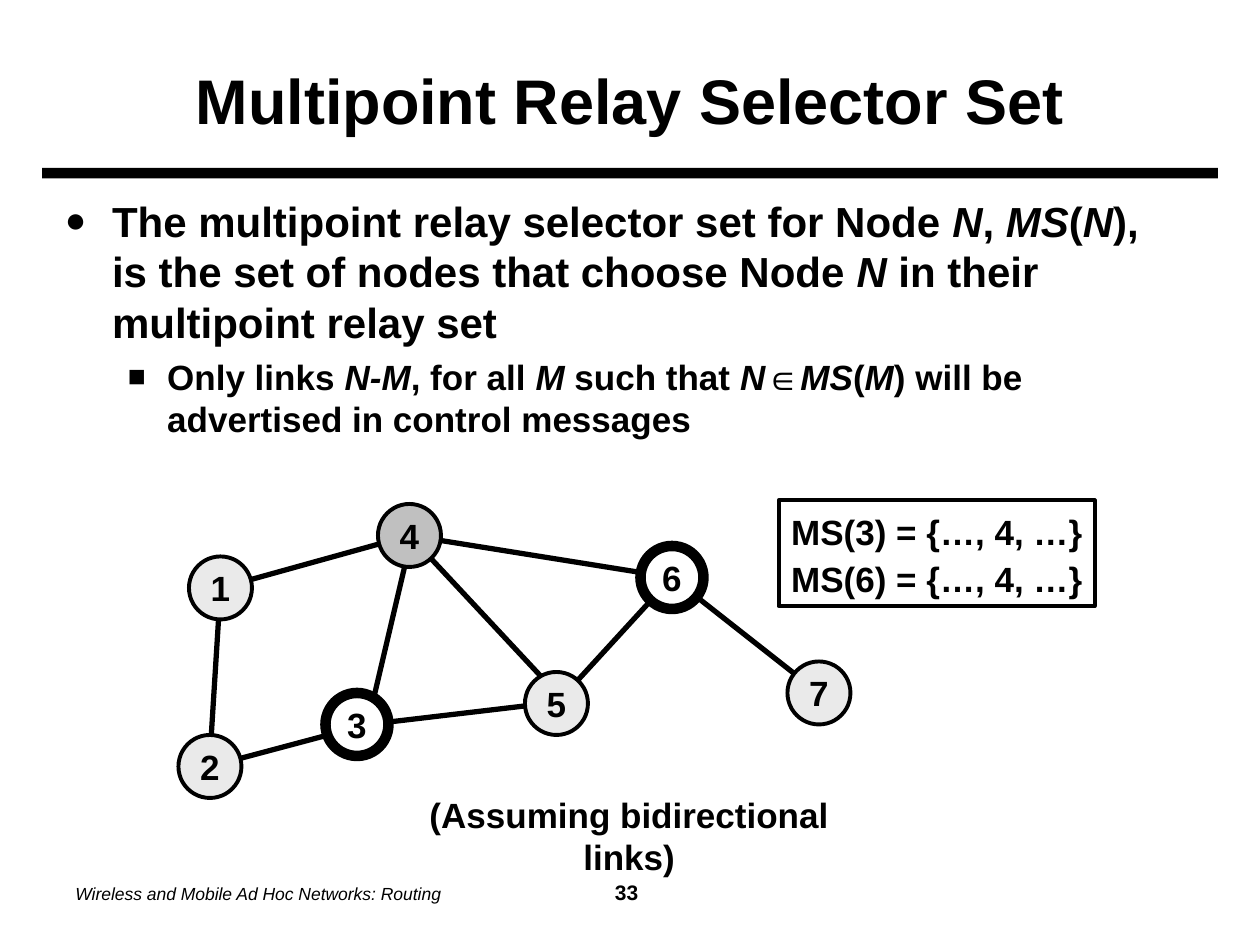
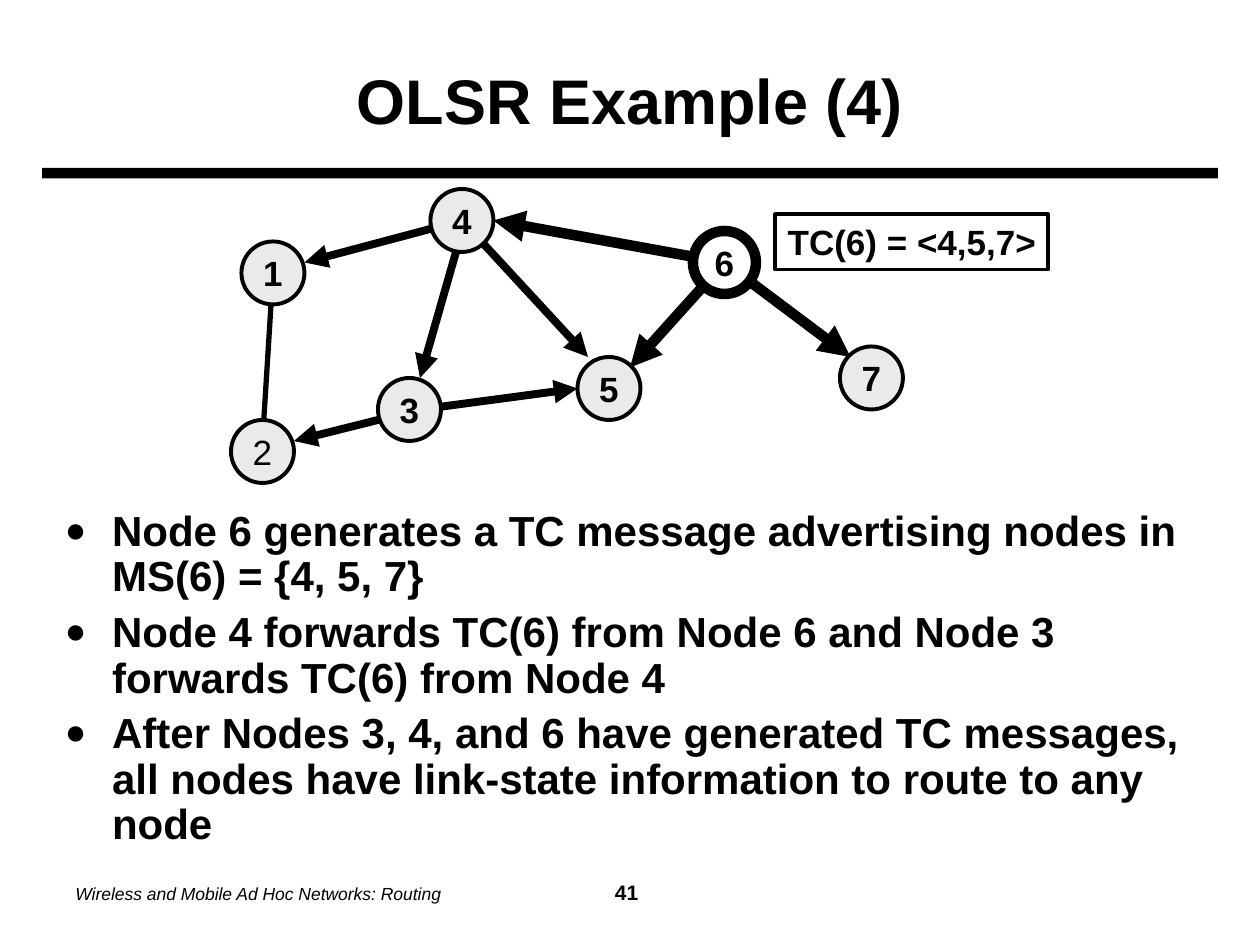
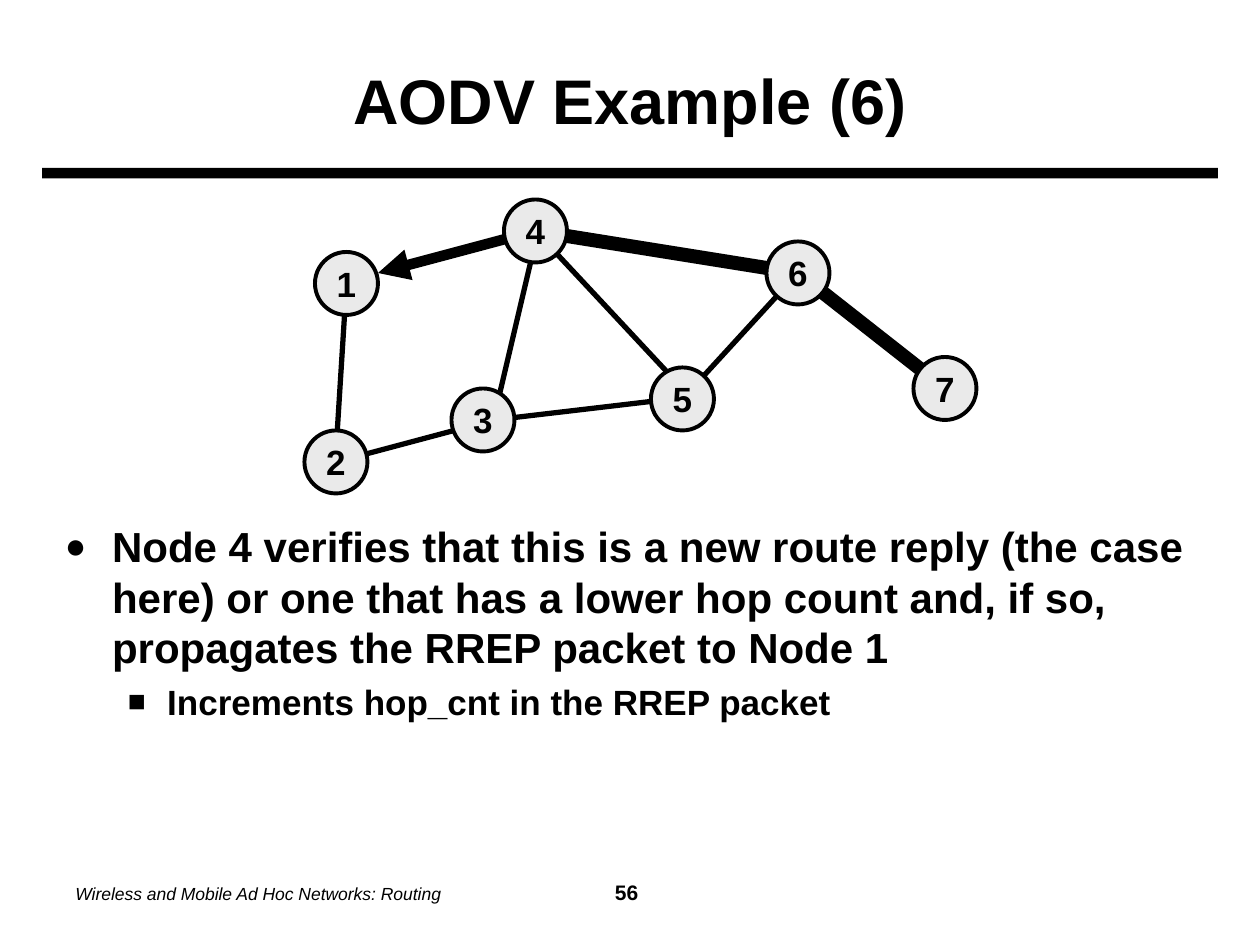
from lxml.etree import SubElement
from pptx import Presentation
from pptx.dml.color import RGBColor
from pptx.enum.shapes import MSO_CONNECTOR, MSO_SHAPE
from pptx.enum.text import MSO_ANCHOR, PP_ALIGN
from pptx.oxml.ns import qn
from pptx.util import Pt

BLACK, WHITE, LIGHT_GRAY, GRAY = "000000", "FFFFFF", "EAEAEA", "C0C0C0"
FONT = "Arial"
FOOTER = "Wireless and Mobile Ad Hoc Networks: Routing"
NODE_SIZE = 36

# Font size, space before, left margin, hanging indent and bullet of each level
BULLET_LEVELS = [(24, 6, 27, 27, "●"), (20, 5, 58.5, 22.5, "■")]

node_offsets = {1: (0, 0), 4: (108, -30), 3: (78, 78), 5: (192, 66),
                2: (-6, 102), 6: (258, -6), 7: (342, 60)}
link_ends = {
    "6-7": ((276, 12), (360, 78)),
    "1-2": ((18, 18), (12, 114)),
    "4-5": ((126, -12), (210, 78)),
    "3-2": ((102, 96), (12, 120)),
    "4-1": ((126, -12), (18, 18)),
    "4-3": ((126, -6), (102, 96)),
    "3-5": ((102, 96), (204, 84)),
    "6-4": ((276, 12), (126, -12)),
    "6-5": ((276, 12), (210, 84)),
}
arrow_tips = {"4-5": (198, 66), "3-2": (30, 114), "4-1": (36, 12),
              "4-3": (102, 78), "3-5": (192, 84), "6-4": (144, -12),
              "6-7": (348, 66), "6-5": (222, 72)}

slides = [
    {
        "title": "Multipoint Relay Selector Set",
        "number": "33",
        "body_area": (108, 378),
        "line_spacing": 1.0,
        "bullets": [
            (0, "The multipoint relay selector set for Node *N*, *MS*(*N*), "
                "is the set of nodes that choose Node *N* in their multipoint relay set"),
            (1, "Only links *N-M*, for all *M* such that *N*∈*MS*(*M*) "
                "will be advertised in control messages"),
        ],
        "network_origin": (108, 318),
        "node_fills": {3: WHITE, 4: GRAY, 6: WHITE},
        "thick_nodes": {3, 6},
        "plain_text_nodes": set(),
        "link_weights": {},
        "arrows": set(),
        "set_box": ((445, 286, 180.5, 60.5), ["MS(3) = {…, 4, …}", "MS(6) = {…, 4, …}"], 1.1),
        "caption": "(Assuming bidirectional links)",
    },
    {
        "title": "OLSR Example (4)",
        "number": "41",
        "body_area": (288, 210),
        "line_spacing": 0.9,
        "bullets": [
            (0, "Node 6 generates a TC message advertising nodes in MS(6) = {4, 5, 7}"),
            (0, "Node 4 forwards TC(6) from Node 6 and Node 3 forwards TC(6) from Node 4"),
            (0, "After Nodes 3, 4, and 6 have generated TC messages, all nodes have "
                "link-state information to route to any node"),
        ],
        "network_origin": (138, 138),
        "node_fills": {6: WHITE},
        "thick_nodes": {6},
        "plain_text_nodes": {2},
        "link_weights": {"4-5": 4.5, "3-2": 4.5, "4-1": 4.5, "4-3": 4.5, "3-5": 4.5,
                         "6-4": 6, "6-7": 6, "6-5": 6},
        "arrows": set(arrow_tips),
        "set_box": ((443, 122.5, 156, 31.5), ["TC(6) = <4,5,7>"], 1.0),
        "caption": None,
    },
    {
        "title": "AODV Example (6)",
        "number": "56",
        "body_area": (294, 192),
        "line_spacing": 1.0,
        "bullets": [
            (0, "Node 4 verifies that this is a new route reply (the case here) or one that "
                "has a lower hop count and, if so, propagates the RREP packet to Node 1"),
            (1, "Increments hop_cnt in the RREP packet"),
        ],
        "network_origin": (180, 144),
        "node_fills": {},
        "thick_nodes": set(),
        "plain_text_nodes": set(),
        "link_weights": {"4-1": 6, "6-4": 8, "6-7": 8},
        "arrows": {"4-1"},
        "set_box": None,
        "caption": None,
    },
]


def color(hex_value):
    return RGBColor.from_string(hex_value)


def write(shape, lines, size, alignment=PP_ALIGN.LEFT, bold=True, wrap=False,
          anchor=MSO_ANCHOR.MIDDLE, line_spacing=1.0):
    text_frame = shape.text_frame
    text_frame.text = "\n".join(lines)
    text_frame.word_wrap = wrap
    text_frame.vertical_anchor = anchor
    for paragraph in text_frame.paragraphs:
        paragraph.alignment = alignment
        paragraph.line_spacing = line_spacing
        for run in paragraph.runs:
            run.font.name = FONT
            run.font.size = Pt(size)
            run.font.bold = bold
            run.font.color.rgb = color(BLACK)


presentation = Presentation()
presentation.slide_width = Pt(720)
presentation.slide_height = Pt(540)

for content in slides:
    slide = presentation.slides.add_slide(presentation.slide_layouts[6])
    shapes = slide.shapes

    rule = shapes.add_shape(MSO_SHAPE.RECTANGLE, Pt(24), Pt(96), Pt(672), Pt(6))
    rule.shadow.inherit = False
    rule.fill.solid()
    rule.fill.fore_color.rgb = color(BLACK)
    rule.line.fill.background()

    title = shapes.add_textbox(Pt(36), Pt(18), Pt(648), Pt(78))
    write(title, [content["title"]], 36, PP_ALIGN.CENTER, wrap=True)

    footer = shapes.add_textbox(Pt(36), Pt(492), Pt(648), Pt(36))
    footer.text_frame.word_wrap = True
    footer.text_frame.vertical_anchor = MSO_ANCHOR.MIDDLE
    paragraph = footer.text_frame.paragraphs[0]
    tabs = SubElement(paragraph._p.get_or_add_pPr(), qn("a:tabLst"))
    SubElement(tabs, qn("a:tab"), pos=str(Pt(315)), algn="ctr")
    for text, size, is_number in [(FOOTER, 10, False), ("\t" + content["number"], 12, True)]:
        run = paragraph.add_run()
        run.text = text
        run.font.name = FONT
        run.font.size = Pt(size)
        run.font.bold = is_number
        run.font.italic = not is_number
        run.font.color.rgb = color(BLACK)

    top, height = content["body_area"]
    body = shapes.add_textbox(Pt(30), Pt(top), Pt(654), Pt(height))
    body.text_frame.word_wrap = True
    for index, (level, text) in enumerate(content["bullets"]):
        size, space_before, margin, hanging, bullet = BULLET_LEVELS[level]
        paragraph = body.text_frame.paragraphs[0] if index == 0 else body.text_frame.add_paragraph()
        paragraph.level = level
        paragraph.line_spacing = content["line_spacing"]
        paragraph.space_before = Pt(space_before if index else 0)
        properties = paragraph._p.get_or_add_pPr()
        properties.set("marL", str(Pt(margin)))
        properties.set("indent", str(-Pt(hanging)))
        bullet_color = SubElement(properties, qn("a:buClr"))
        SubElement(bullet_color, qn("a:srgbClr"), val=BLACK)
        SubElement(properties, qn("a:buSzPct"), val="85000")
        SubElement(properties, qn("a:buFont"), typeface=FONT)
        SubElement(properties, qn("a:buChar"), char=bullet)
        for part, words in enumerate(text.split("*")):
            run = paragraph.add_run()
            run.text = words
            run.font.name = FONT
            run.font.size = Pt(size)
            run.font.bold = True
            run.font.italic = part % 2 == 1
            run.font.color.rgb = color(BLACK)

    left, top = content["network_origin"]
    for link, (start, end) in link_ends.items():
        has_arrow = link in content["arrows"]
        if has_arrow:
            end = arrow_tips[link]
        connector = shapes.add_connector(
            MSO_CONNECTOR.STRAIGHT, Pt(left + start[0]), Pt(top + start[1]),
            Pt(left + end[0]), Pt(top + end[1]))
        connector.line.color.rgb = color(BLACK)
        connector.line.width = Pt(content["link_weights"].get(link, 3))
        if has_arrow:
            SubElement(connector.line._get_or_add_ln(), qn("a:tailEnd"), type="triangle")
        SubElement(connector._element.spPr, qn("a:effectLst"))

    for number, (across, down) in node_offsets.items():
        node = shapes.add_shape(MSO_SHAPE.OVAL, Pt(left + across), Pt(top + down),
                                Pt(NODE_SIZE), Pt(NODE_SIZE))
        node.shadow.inherit = False
        node.fill.solid()
        node.fill.fore_color.rgb = color(content["node_fills"].get(number, LIGHT_GRAY))
        node.line.color.rgb = color(BLACK)
        node.line.width = Pt(6 if number in content["thick_nodes"] else 2.25)
        write(node, [str(number)], 20, PP_ALIGN.CENTER,
              bold=number not in content["plain_text_nodes"])

    if content["set_box"]:
        area, lines, spacing = content["set_box"]
        box = shapes.add_shape(MSO_SHAPE.RECTANGLE, *[Pt(length) for length in area])
        box.shadow.inherit = False
        box.fill.solid()
        box.fill.fore_color.rgb = color(WHITE)
        box.line.color.rgb = color(BLACK)
        box.line.width = Pt(2.25)
        write(box, lines, 20, anchor=MSO_ANCHOR.TOP, line_spacing=spacing)

    if content["caption"]:
        caption = shapes.add_textbox(Pt(209.5), Pt(450), Pt(300), Pt(31.5))
        write(caption, [content["caption"]], 20, PP_ALIGN.CENTER, anchor=MSO_ANCHOR.TOP)

presentation.save("out.pptx")
